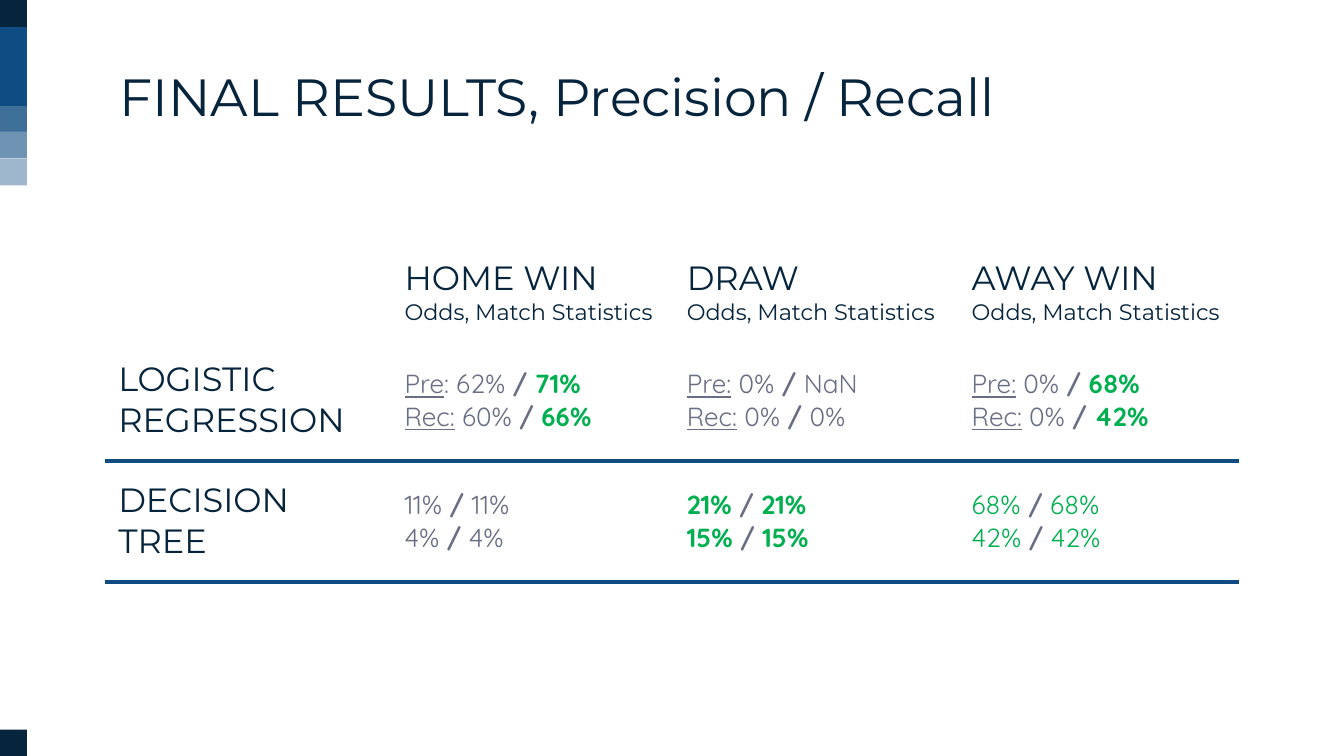
import pptx
import pptx.dml.color
import pptx.enum.shapes
import pptx.enum.text
import pptx.oxml
import pptx.oxml.ns
import pptx.util

Inches = pptx.util.Inches
ANCHOR = pptx.enum.text.MSO_ANCHOR

NAVY, BLUE, GREY, GREEN = "07243D", "0F4C81", "6A6E85", "00B050"
HEAD_FONT, BODY_FONT = "Montserrat", "Quicksand"

PLAIN = {"color": GREY}
GOOD = {"color": GREEN}
BEST = {"color": GREEN, "bold": True}

LEFT, TOP = 0.78, 1.42
COL_WIDTHS = [2.13, 2.1, 2.12, 2.06]
ROW_HEIGHTS = [1.11, 0.9, 0.9]
OUTCOMES = ["HOME WIN", "DRAW", "AWAY WIN"]

# Per model: one cell per outcome, as (odds style, match style, lines);
# a line is (underlined label, odds value, match value).
RESULTS = [
    ("LOGISTIC REGRESSION", [
        (PLAIN, BEST, [("Pre", ": 62%", "71%"), ("Rec:", " 60%", "66%")]),
        (PLAIN, PLAIN, [("Pre:", " 0%", "NaN"), ("Rec:", " 0%", "0%")]),
        (PLAIN, BEST, [("Pre:", " 0%", "68%"), ("Rec:", " 0%", "42%")]),
    ]),
    ("DECISION TREE", [
        (PLAIN, PLAIN, [("", "11%", "11%"), ("", "4%", "4%")]),
        (BEST, BEST, [("", "21%", "21%"), ("", "15%", "15%")]),
        (GOOD, GOOD, [("", "68%", "68%"), ("", "42%", "42%")]),
    ]),
]

# Side bar blocks: top, height, colour
BAR_BLOCKS = [
    (0.2, 0.59, BLUE), (0.79, 0.2, "3F709A"), (0.98, 0.2, "6F94B3"),
    (1.18, 0.2, "9FB7CD"), (0, 0.2, NAVY), (5.43, 0.2, NAVY),
]


def rgb(value):
    return pptx.dml.color.RGBColor.from_string(value)


def add_run(p, text, size=14, font=BODY_FONT, color=GREY, bold=False, underline=False):
    r = p.add_run()
    r.text = text
    r.font.size = pptx.util.Pt(size)
    r.font.name = font
    r.font.color.rgb = rgb(color)
    r.font.bold = bold
    r.font.underline = underline


def set_margins(target):
    target.margin_left = target.margin_right = Inches(0.1)
    target.margin_top = target.margin_bottom = Inches(0.1)


def fill_cell(cell, lines, anchor=ANCHOR.MIDDLE):
    """Write lines into a cell; each line is a list of (text, format) runs."""
    cell.vertical_anchor = anchor
    tf = cell.text_frame
    for i, runs in enumerate(lines):
        p = tf.paragraphs[0] if i == 0 else tf.add_paragraph()
        for text, style in runs:
            add_run(p, text, **style)


def score_runs(label, odds, match, odds_style, match_style):
    runs = [(label, {"underline": True})] if label else []
    return runs + [(odds + " ", odds_style), ("/ ", {"bold": True}), (match, match_style)]


def add_title(s, text):
    sp = s.shapes.title
    sp.left, sp.top = Inches(0.79), Inches(0.38)
    sp.width, sp.height = Inches(6.8), Inches(0.69)
    tf = sp.text_frame
    set_margins(tf)
    tf.word_wrap = True
    tf.auto_size = pptx.enum.text.MSO_AUTO_SIZE.NONE
    tf.vertical_anchor = ANCHOR.TOP
    p = tf.paragraphs[0]
    p.alignment = pptx.enum.text.PP_ALIGN.LEFT
    add_run(p, text, size=28, font=HEAD_FONT, color=NAVY)


def add_results_table(s):
    frame = s.shapes.add_table(len(ROW_HEIGHTS), len(COL_WIDTHS), Inches(LEFT), Inches(TOP),
                               Inches(sum(COL_WIDTHS)), Inches(sum(ROW_HEIGHTS)))
    table = frame.table
    table.first_row = table.horz_banding = False
    for column, width in zip(table.columns, COL_WIDTHS):
        column.width = Inches(width)
    for row, height in zip(table.rows, ROW_HEIGHTS):
        row.height = Inches(height)
    for cell in table.iter_cells():
        cell.fill.background()
        set_margins(cell)

    heading = {"size": 18, "font": HEAD_FONT, "color": NAVY}
    subheading = {**heading, "size": 12}
    for col, outcome in enumerate(OUTCOMES, 1):
        lines = [[(outcome, heading)], [("Odds, Match Statistics", subheading)]]
        fill_cell(table.cell(0, col), lines, ANCHOR.BOTTOM)
    for row, (model, scores) in enumerate(RESULTS, 1):
        fill_cell(table.cell(row, 0), [[(model, heading)]])
        for col, (odds_style, match_style, lines) in enumerate(scores, 1):
            fill_cell(table.cell(row, col),
                      [score_runs(*line, odds_style, match_style) for line in lines])


def add_rule(s, y):
    line = s.shapes.add_connector(pptx.enum.shapes.MSO_CONNECTOR.STRAIGHT,
                                  Inches(LEFT), Inches(y), Inches(9.22), Inches(y))
    line.line.color.rgb = rgb(BLUE)
    line.line.width = pptx.util.Pt(2.25)
    line._element.spPr.append(pptx.oxml.parse_xml(
        "<a:effectLst %s/>" % pptx.oxml.ns.nsdecls("a")))


def add_block(shapes, top, height, color):
    sp = shapes.add_shape(pptx.enum.shapes.MSO_SHAPE.RECTANGLE,
                          Inches(0), Inches(top), Inches(0.2), Inches(height))
    sp.shadow.inherit = False
    sp.fill.solid()
    sp.fill.fore_color.rgb = rgb(color)
    sp.line.fill.background()


def main():
    prs = pptx.Presentation()
    prs.slide_width = Inches(10)
    prs.slide_height = prs.slide_width * 9 // 16
    s = prs.slides.add_slide(prs.slide_layouts[5])
    add_results_table(s)
    add_title(s, "FINAL RESULTS, Precision / Recall")
    for y in (3.43, 4.33):
        add_rule(s, y)
    side_bar = s.shapes.add_group_shape()
    for block in BAR_BLOCKS:
        add_block(side_bar.shapes, *block)
    prs.save("out.pptx")


if __name__ == "__main__":
    main()
